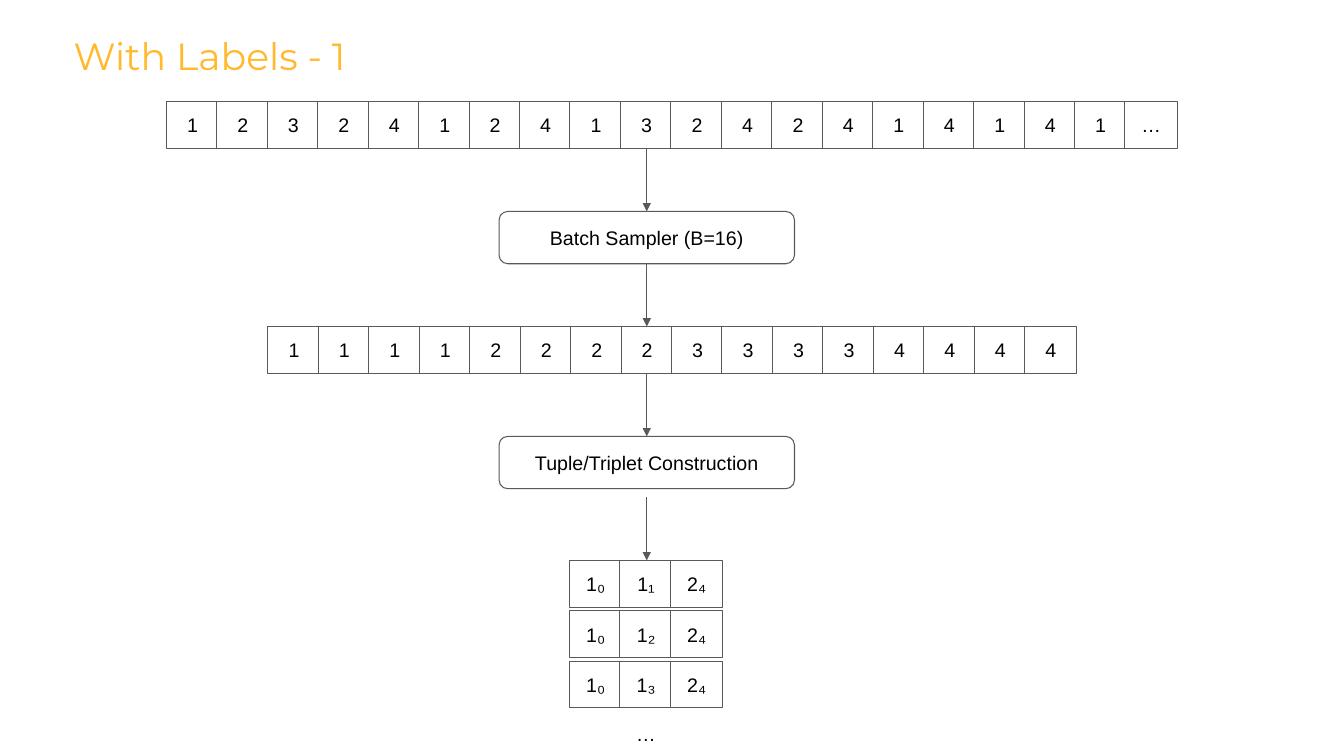
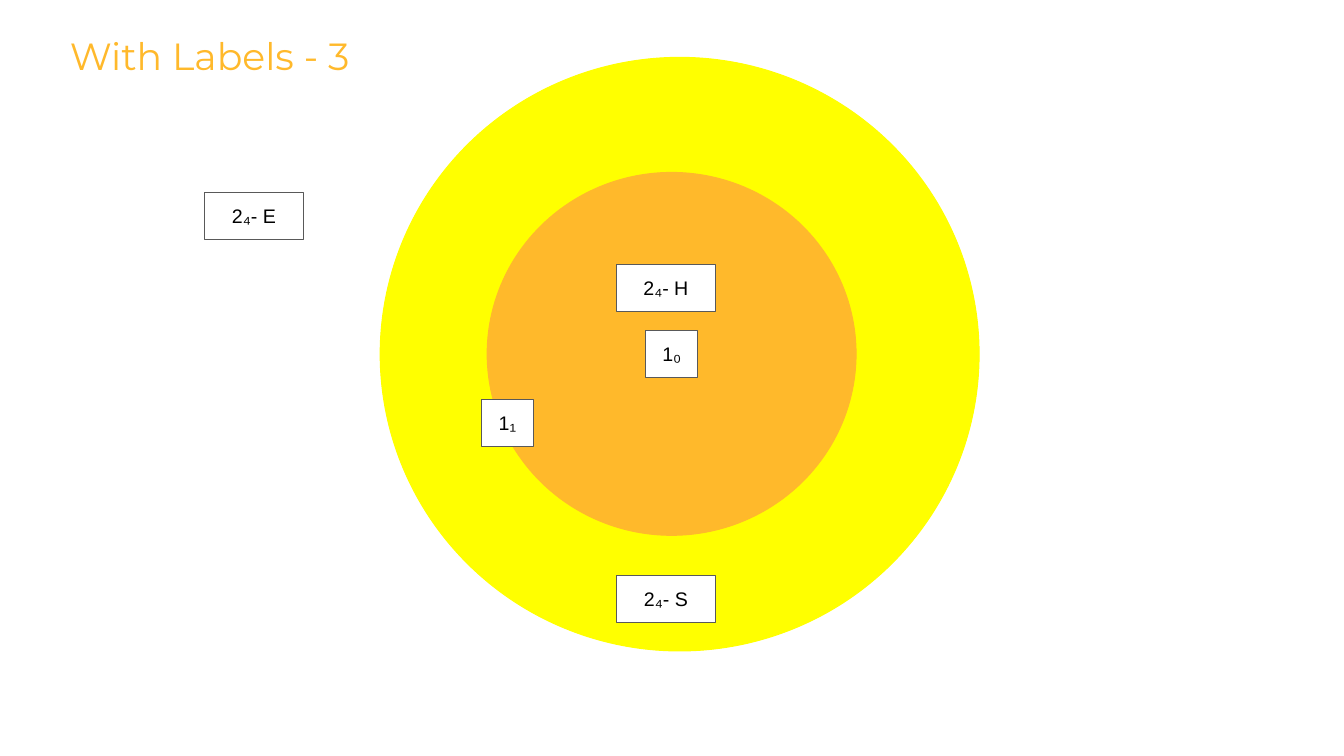
from lxml import etree
from pptx import Presentation
from pptx.dml.color import RGBColor
from pptx.enum.shapes import MSO_CONNECTOR as LINE, MSO_SHAPE as SHAPE
from pptx.enum.text import MSO_ANCHOR as ANCHOR, PP_ALIGN as ALIGN
from pptx.oxml.ns import qn
from pptx.util import Pt

WHITE, BLACK, GRAY = "FFFFFF", "000000", "595959"
AMBER, YELLOW = "FFB92B", "FFFF00"
BODY_FONT, TITLE_FONT = "Arial", "Montserrat"
BODY_SIZE, TITLE_SIZE = 14, 27
LINE_WIDTH = 0.75
CELL_WIDTH, CELL_HEIGHT, CELL_STEP = 37.4, 33.4, 36.04
STEP_WIDTH, STEP_HEIGHT = 211, 37.4
FLOW_X = 462


def color(hex_code):
    """Turn a hex string into a colour."""
    return RGBColor.from_string(hex_code)


def add_text(shape, text, font=BODY_FONT, size=BODY_SIZE, ink=BLACK,
             inset=7.2, anchor=ANCHOR.MIDDLE):
    """Write one centred line of text into a shape."""
    frame = shape.text_frame
    frame.word_wrap = True
    frame.vertical_anchor = anchor
    frame.margin_left = frame.margin_right = Pt(inset)
    frame.margin_top = frame.margin_bottom = Pt(inset)
    para = frame.paragraphs[0]
    para.alignment = ALIGN.CENTER
    span = para.add_run()
    span.text = text
    span.font.name = font
    span.font.size = Pt(size)
    span.font.color.rgb = color(ink)


def add_box(page, kind, left, top, width, height, fill=WHITE, line=GRAY):
    """Add a filled and outlined preset shape."""
    box = page.shapes.add_shape(kind, Pt(left), Pt(top), Pt(width), Pt(height))
    box.shadow.inherit = False
    box.fill.solid()
    box.fill.fore_color.rgb = color(fill)
    box.line.color.rgb = color(line)
    box.line.width = Pt(LINE_WIDTH)
    return box


def add_textbox(page, left, top, width, height, text, **style):
    """Add a text box without outline."""
    box = page.shapes.add_textbox(Pt(left), Pt(top), Pt(width), Pt(height))
    add_text(box, text, **style)


def add_title(page, text):
    """Add the slide title."""
    add_textbox(page, 36, 27.3, 227.5, 24.5, text, font=TITLE_FONT,
                size=TITLE_SIZE, ink=AMBER, inset=2.16)


def add_cell(page, left, top, text, width=CELL_WIDTH):
    """Add one labelled sample."""
    add_text(add_box(page, SHAPE.RECTANGLE, left, top, width, CELL_HEIGHT), text)


def add_row(page, left, top, labels):
    """Add a row of adjoining samples."""
    for index, label in enumerate(labels):
        add_cell(page, left + index * CELL_STEP, top, label)


def add_step(page, top, text):
    """Add a rounded process step on the flow axis."""
    add_text(add_box(page, SHAPE.ROUNDED_RECTANGLE, FLOW_X - STEP_WIDTH / 2, top,
                     STEP_WIDTH, STEP_HEIGHT), text)


def add_arrow(page, top, bottom):
    """Add a downward arrow on the flow axis."""
    arrow = page.shapes.add_connector(LINE.STRAIGHT, Pt(FLOW_X), Pt(top),
                                      Pt(FLOW_X), Pt(bottom))
    arrow.line.color.rgb = color(GRAY)
    arrow.line.width = Pt(LINE_WIDTH)
    etree.SubElement(arrow.line._get_or_add_ln(), qn("a:tailEnd"), type="triangle")
    etree.SubElement(arrow._element.spPr, qn("a:effectLst"))


def add_page(deck):
    """Add a blank page with a white background."""
    page = deck.slides.add_slide(deck.slide_layouts[6])
    page.background.fill.solid()
    page.background.fill.fore_color.rgb = color(WHITE)
    return page


def build_sampling(deck):
    """Build the flow from a label stream to triplets."""
    page = add_page(deck)
    add_title(page, "With Labels - 1")
    add_row(page, 118.8, 72.5, "1232412413242414141…")
    add_step(page, 151, "Batch Sampler (B=16)")
    add_row(page, 191.3, 233.2, "1111222233334444")
    add_step(page, 311.7, "Tuple/Triplet Construction")
    for top, bottom in ((105.9, 151), (188.4, 233.2), (266.6, 311.7), (355.2, 400.3)):
        add_arrow(page, top, bottom)
    for index, positive in enumerate(("1₁", "1₂", "1₃")):
        add_row(page, 406.8, 400.3 + index * 36, ("1₀", positive, "2₄"))
    add_textbox(page, 382.5, 508.3, 157.7, 31.7, "…", anchor=ANCHOR.TOP)


def build_negatives(deck):
    """Build the zones of hard, semi-hard and easy negatives."""
    page = add_page(deck)
    add_box(page, SHAPE.OVAL, 271.6, 41, 427.8, 424, YELLOW, YELLOW)
    add_title(page, "With Labels - 3")
    add_box(page, SHAPE.OVAL, 348, 123.2, 263.5, 259.2, AMBER, AMBER)
    add_cell(page, 461.2, 236.2, "1₀")
    add_cell(page, 343.8, 285.4, "1₁")
    for left, top, name in ((146, 137.4, "E"), (440.3, 188.9, "H"), (440.3, 411, "S")):
        add_cell(page, left, top, f"2₄- {name}", width=70.8)


def main():
    """Build and save the deck."""
    deck = Presentation()
    deck.slide_width, deck.slide_height = Pt(960), Pt(540)
    build_sampling(deck)
    build_negatives(deck)
    deck.save("out.pptx")


main()
